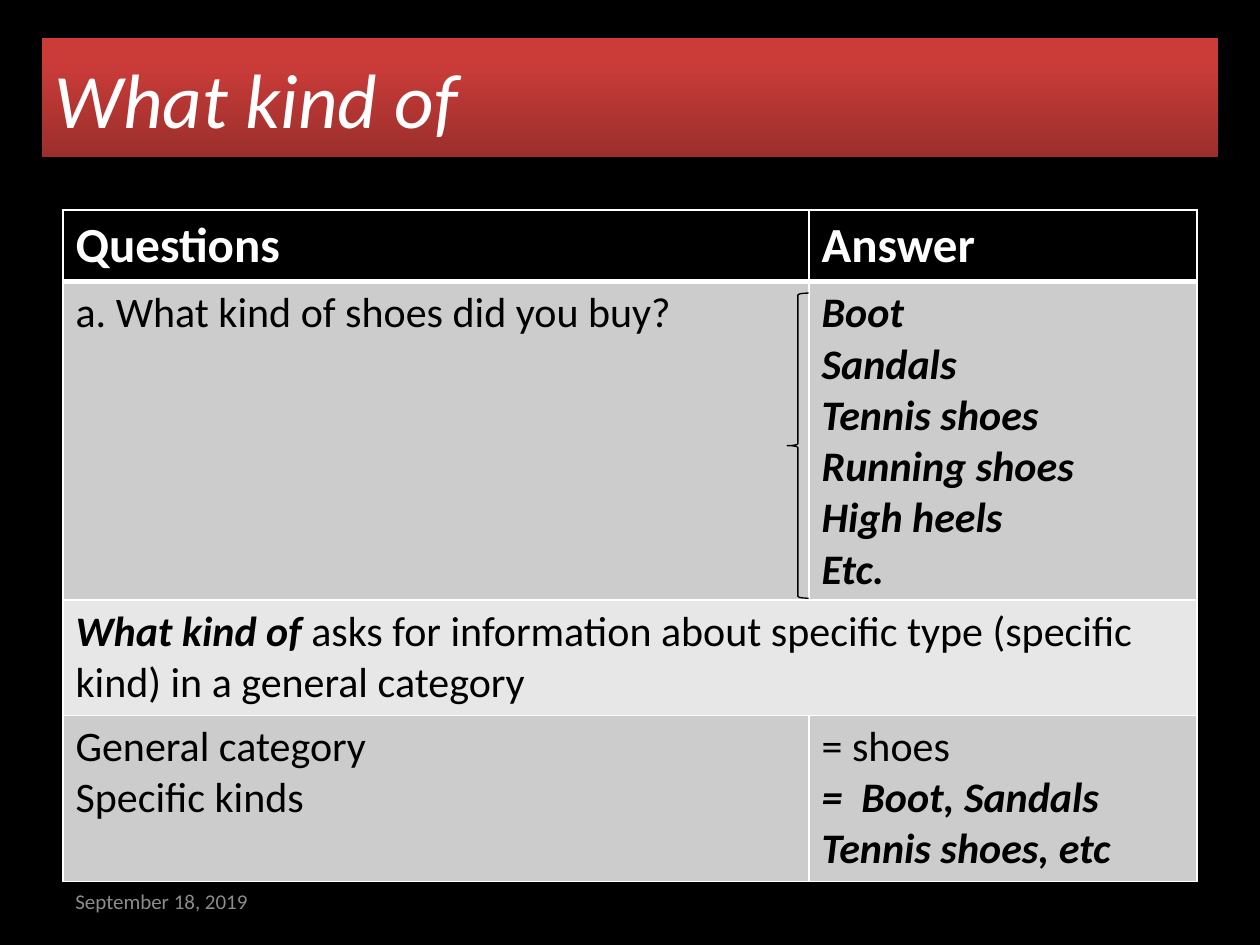
import pptx
import pptx.dml.color
import pptx.enum.shapes
import pptx.enum.text
import pptx.oxml
import pptx.oxml.ns
import pptx.util
from pptx.util import Cm

BLACK = pptx.dml.color.RGBColor(0x00, 0x00, 0x00)
WHITE = pptx.dml.color.RGBColor(0xFF, 0xFF, 0xFF)
RED = pptx.dml.color.RGBColor(0xCB, 0x3C, 0x39)
DARK_RED = pptx.dml.color.RGBColor(0x9B, 0x2F, 0x2C)
DARK_BAND = pptx.dml.color.RGBColor(0xCC, 0xCC, 0xCC)
LIGHT_BAND = pptx.dml.color.RGBColor(0xE7, 0xE7, 0xE7)
DATE_GRAY = pptx.dml.color.RGBColor(0x8C, 0x8C, 0x8C)
FONT = "Calibri"

COLUMN_WIDTHS = (15.04, 7.82)
ROW_HEIGHTS = (1.45, 6.42, 2.32, 3.35)
ROW_FILLS = (BLACK, DARK_BAND, LIGHT_BAND, DARK_BAND)

# Each cell is a list of paragraphs, each paragraph a list of (text, emphasised)
SHOES = ("Boot", "Sandals", "Tennis shoes", "Running shoes", "High heels", "Etc.")
ROWS = (
    ([[("Questions", False)]], [[("Answer", False)]]),
    ([[("a. What kind of shoes did you buy?", False)]],
     [[(shoe, True)] for shoe in SHOES]),
    ([[("What kind of ", True),
       ("asks for information about specific type (specific kind) "
        "in a general category", False)]], []),
    ([[("General category", False)], [("Specific kinds", False)]],
     [[("= shoes", False)], [("=\tBoot, Sandals", True)],
      [("Tennis shoes, etc", True)]]),
)


def format_font(font, size, color, bold=False, italic=False):
    font.name = FONT
    font.size = pptx.util.Pt(size)
    font.color.rgb = color
    font.bold = bold
    font.italic = italic


def add_title(page, left, top, width, height):
    title = page.shapes.title
    title.left, title.top, title.width, title.height = left, top, width, height
    title.fill.gradient()
    title.fill.gradient_angle = 270
    for stop, color, position in zip(title.fill.gradient_stops,
                                     (RED, DARK_RED), (0.2, 1)):
        stop.color.rgb = color
        stop.position = position
    frame = title.text_frame
    frame.text = "What kind of"
    frame.auto_size = pptx.enum.text.MSO_AUTO_SIZE.NONE
    frame.vertical_anchor = pptx.enum.text.MSO_ANCHOR.MIDDLE
    para = frame.paragraphs[0]
    para.alignment = pptx.enum.text.PP_ALIGN.LEFT
    format_font(para.runs[0].font, 44, WHITE, italic=True)


def set_borders(cell, bottom_points):
    properties = cell._tc.get_or_add_tcPr()
    for side, points in (("L", 1), ("R", 1), ("T", 1), ("B", bottom_points)):
        properties.append(pptx.oxml.parse_xml(
            f'<a:ln{side} {pptx.oxml.ns.nsdecls("a")} w="{pptx.util.Pt(points)}">'
            f'<a:solidFill><a:srgbClr val="{WHITE}"/></a:solidFill></a:ln{side}>'))


def add_tab_stop(para, position):
    para._p.get_or_add_pPr().append(pptx.oxml.parse_xml(
        f'<a:tabLst {pptx.oxml.ns.nsdecls("a")}>'
        f'<a:tab pos="{position}" algn="l"/></a:tabLst>'))


def fill_cell(cell, paragraphs, is_header):
    frame = cell.text_frame
    for index, spans in enumerate(paragraphs):
        para = frame.add_paragraph() if index else frame.paragraphs[0]
        for text, emphasised in spans:
            if "\t" in text:
                add_tab_stop(para, Cm(0.8))
            span = para.add_run()
            span.text = text
            if is_header:
                format_font(span.font, 28, WHITE, bold=True)
            else:
                format_font(span.font, 24, BLACK, emphasised, emphasised)


def add_question_table(page, left, top):
    table = page.shapes.add_table(
        len(ROW_HEIGHTS), len(COLUMN_WIDTHS), left, top,
        Cm(sum(COLUMN_WIDTHS)), Cm(sum(ROW_HEIGHTS))).table
    for column, width in zip(table.columns, COLUMN_WIDTHS):
        column.width = Cm(width)
    table.cell(2, 0).merge(table.cell(2, 1))
    for number, row in enumerate(table.rows):
        row.height = Cm(ROW_HEIGHTS[number])
        is_header = number == 0
        for cell, paragraphs in zip(row.cells, ROWS[number]):
            set_borders(cell, 3 if is_header else 1)
            cell.fill.solid()
            cell.fill.fore_color.rgb = ROW_FILLS[number]
            fill_cell(cell, paragraphs, is_header)

    # Brace in front of the list of answers
    brace = page.shapes.add_shape(
        pptx.enum.shapes.MSO_SHAPE.LEFT_BRACE,
        left + Cm(14.6), top + Cm(1.68), Cm(0.43), Cm(6.15))
    brace.shadow.inherit = False
    brace.fill.background()
    brace.line.color.rgb = BLACK
    brace.line.width = pptx.util.Pt(0.75)


def add_date(page, left, top, width, height):
    box = page.shapes.add_textbox(left, top, width, height)
    frame = box.text_frame
    frame.word_wrap = True
    frame.vertical_anchor = pptx.enum.text.MSO_ANCHOR.MIDDLE
    frame.text = "September 18, 2019"
    format_font(frame.paragraphs[0].runs[0].font, 12, DATE_GRAY)


def main():
    deck = pptx.Presentation()
    deck.slide_width, deck.slide_height = Cm(25.4), Cm(19.05)
    page = deck.slides.add_slide(deck.slide_layouts.get_by_name("Title Only"))
    page.background.fill.solid()
    page.background.fill.fore_color.rgb = BLACK

    add_title(page, Cm(0.85), Cm(0.76), Cm(23.7), Cm(2.41))
    add_date(page, Cm(1.27), Cm(17.66), Cm(5.93), Cm(1.01))
    add_question_table(page, Cm(1.27), Cm(4.23))
    deck.save("out.pptx")


if __name__ == "__main__":
    main()
